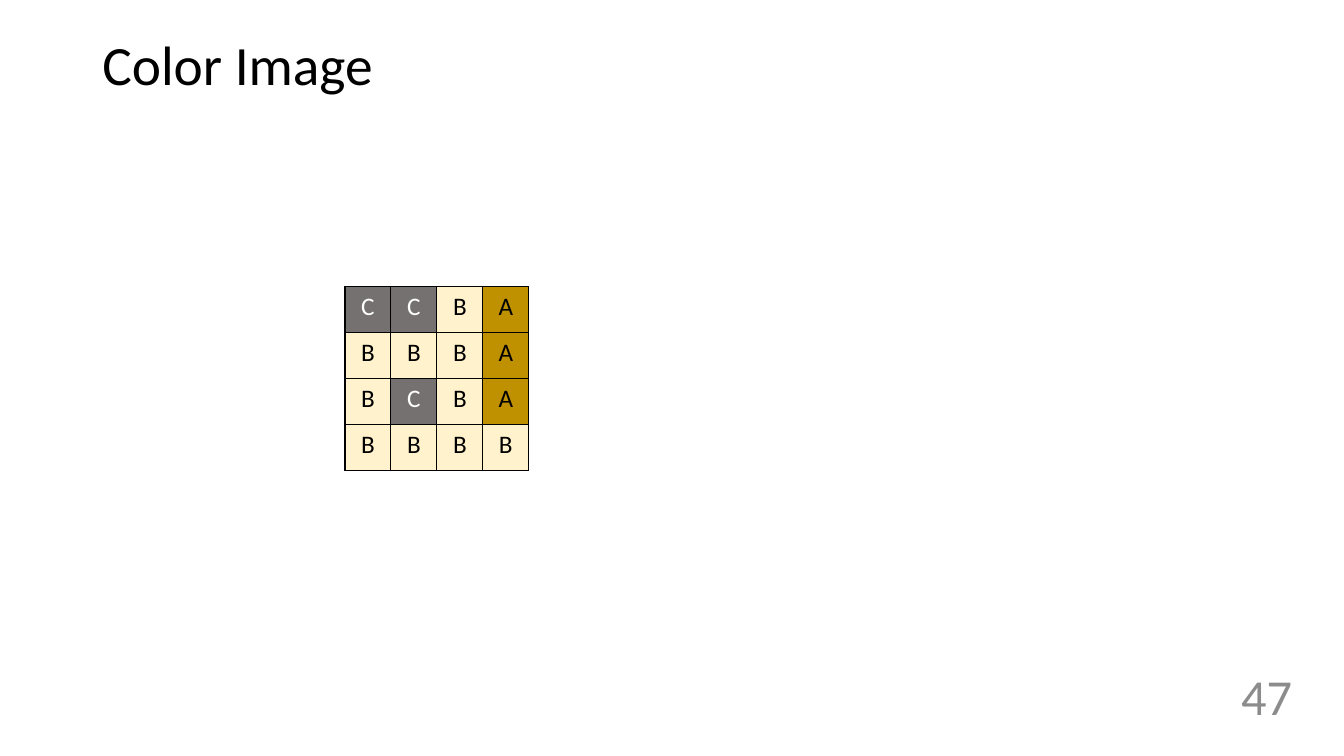
import pptx
import pptx.dml.color
import pptx.enum.text
import pptx.oxml
import pptx.oxml.ns
import pptx.util
from pptx.util import Pt

RGBColor = pptx.dml.color.RGBColor
BLACK = RGBColor(0x00, 0x00, 0x00)
WHITE = RGBColor(0xFF, 0xFF, 0xFF)
NUMBER_GRAY = RGBColor(0x8C, 0x8C, 0x8C)
GOLD = RGBColor(0xBF, 0x90, 0x00)
CREAM = RGBColor(0xFF, 0xF2, 0xCC)
DARK_GRAY = RGBColor(0x76, 0x71, 0x71)

FONT = "Calibri"
ALIGN = pptx.enum.text.PP_ALIGN

# Pixel classes: letter -> (fill, text colour)
PIXEL_COLORS = {"A": (GOLD, BLACK), "B": (CREAM, BLACK), "C": (DARK_GRAY, WHITE)}
PIXEL_ROWS = ["CCBA", "BBBA", "BCBA", "BBBB"]
PIXEL_SIZE = 32.85


def format_paragraph(paragraph, size, color, alignment):
    paragraph.alignment = alignment
    for run in paragraph.runs:
        run.font.name = FONT
        run.font.size = Pt(size)
        run.font.color.rgb = color


def add_text(slide, text, left, top, width, height, size, color, alignment):
    shape = slide.shapes.add_textbox(Pt(left), Pt(top), Pt(width), Pt(height))
    text_frame = shape.text_frame
    text_frame.word_wrap = True
    text_frame.vertical_anchor = pptx.enum.text.MSO_ANCHOR.MIDDLE
    text_frame.text = text
    paragraph = text_frame.paragraphs[0]
    format_paragraph(paragraph, size, color, alignment)
    return paragraph


def add_cell_borders(cell):
    properties = cell._tc.get_or_add_tcPr()
    namespace = pptx.oxml.ns.nsdecls("a")
    for side in ("lnL", "lnR", "lnT", "lnB"):
        properties.append(pptx.oxml.parse_xml(
            f'<a:{side} {namespace} w="{Pt(1)}"><a:solidFill>'
            f'<a:srgbClr val="{BLACK}"/></a:solidFill></a:{side}>'))


def add_pixel_cell(cell, letter):
    fill_color, text_color = PIXEL_COLORS[letter]
    add_cell_borders(cell)
    cell.fill.solid()
    cell.fill.fore_color.rgb = fill_color
    cell.text_frame.text = letter
    format_paragraph(cell.text_frame.paragraphs[0], 18, text_color, ALIGN.CENTER)


def add_pixel_table(slide, left, top):
    count = len(PIXEL_ROWS)
    side = Pt(PIXEL_SIZE * count)
    table = slide.shapes.add_table(count, count, Pt(left), Pt(top), side, side).table
    table.first_row = False
    table.horz_banding = False
    for column in table.columns:
        column.width = Pt(PIXEL_SIZE)
    for row, letters in zip(table.rows, PIXEL_ROWS):
        row.height = Pt(PIXEL_SIZE)
        for cell, letter in zip(row.cells, letters):
            add_pixel_cell(cell, letter)


def main():
    presentation = pptx.Presentation()
    presentation.slide_width = Pt(960)
    presentation.slide_height = Pt(540)
    slide = presentation.slides.add_slide(presentation.slide_layouts[6])

    # Title
    title = add_text(slide, "Color Image", 66, 28.75, 828, 39.6, 39.6, BLACK, ALIGN.LEFT)
    title.line_spacing = 0.9

    # Image as a grid of labelled pixels
    add_pixel_table(slide, 246.4, 204.7)

    # Slide number
    add_text(slide, "47", 840, 466, 90, 62, 36, NUMBER_GRAY, ALIGN.RIGHT)

    presentation.save("out.pptx")


if __name__ == "__main__":
    main()
